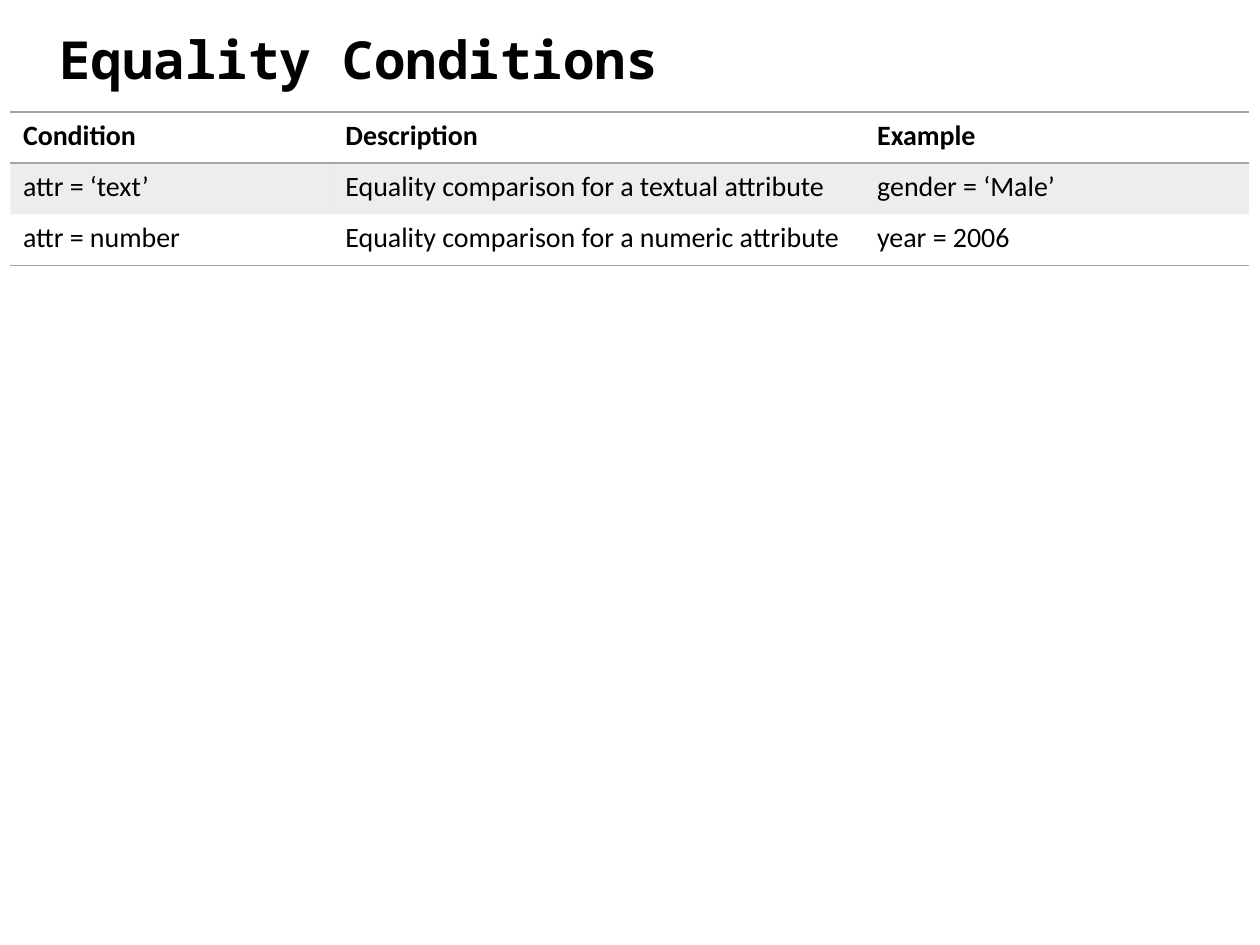
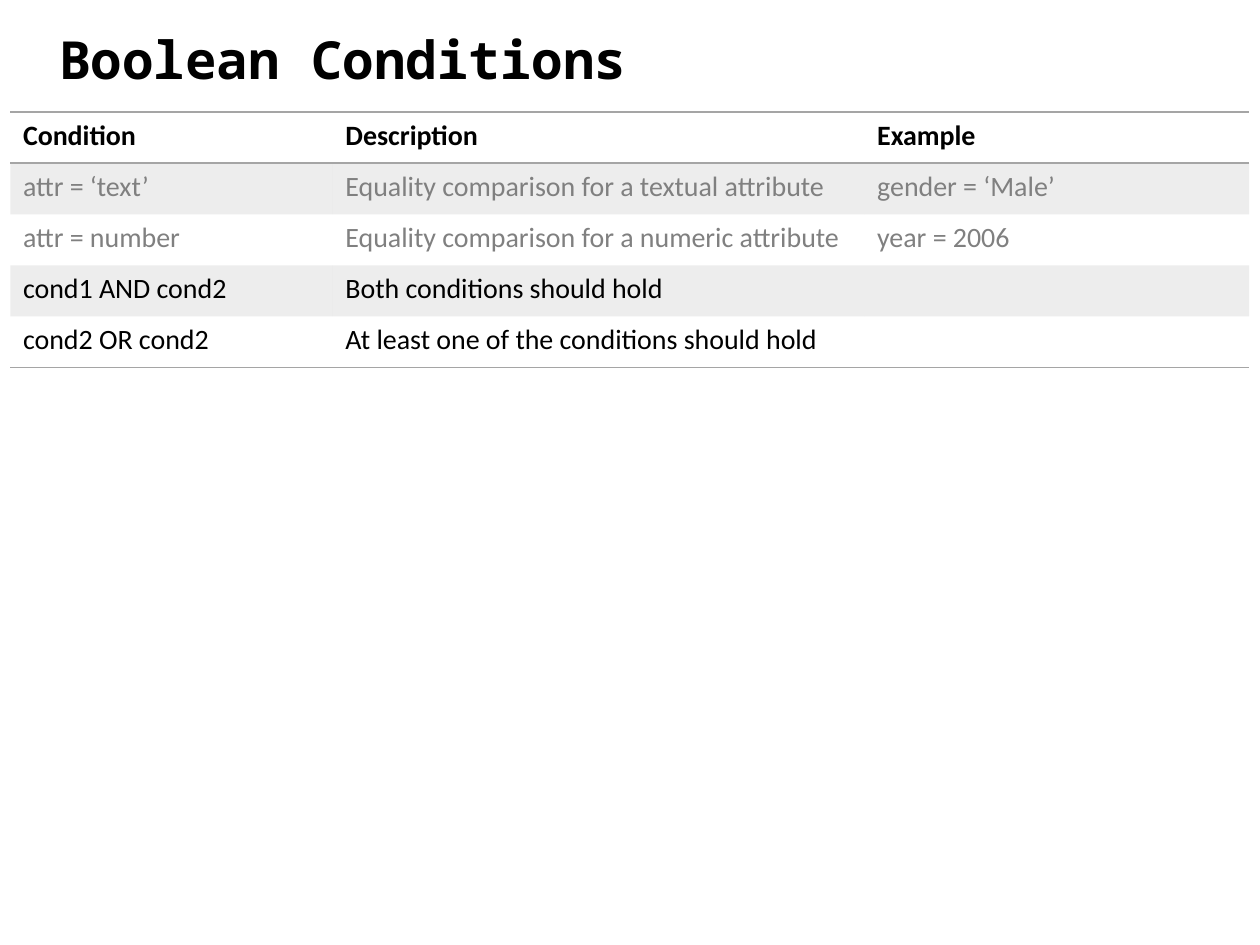
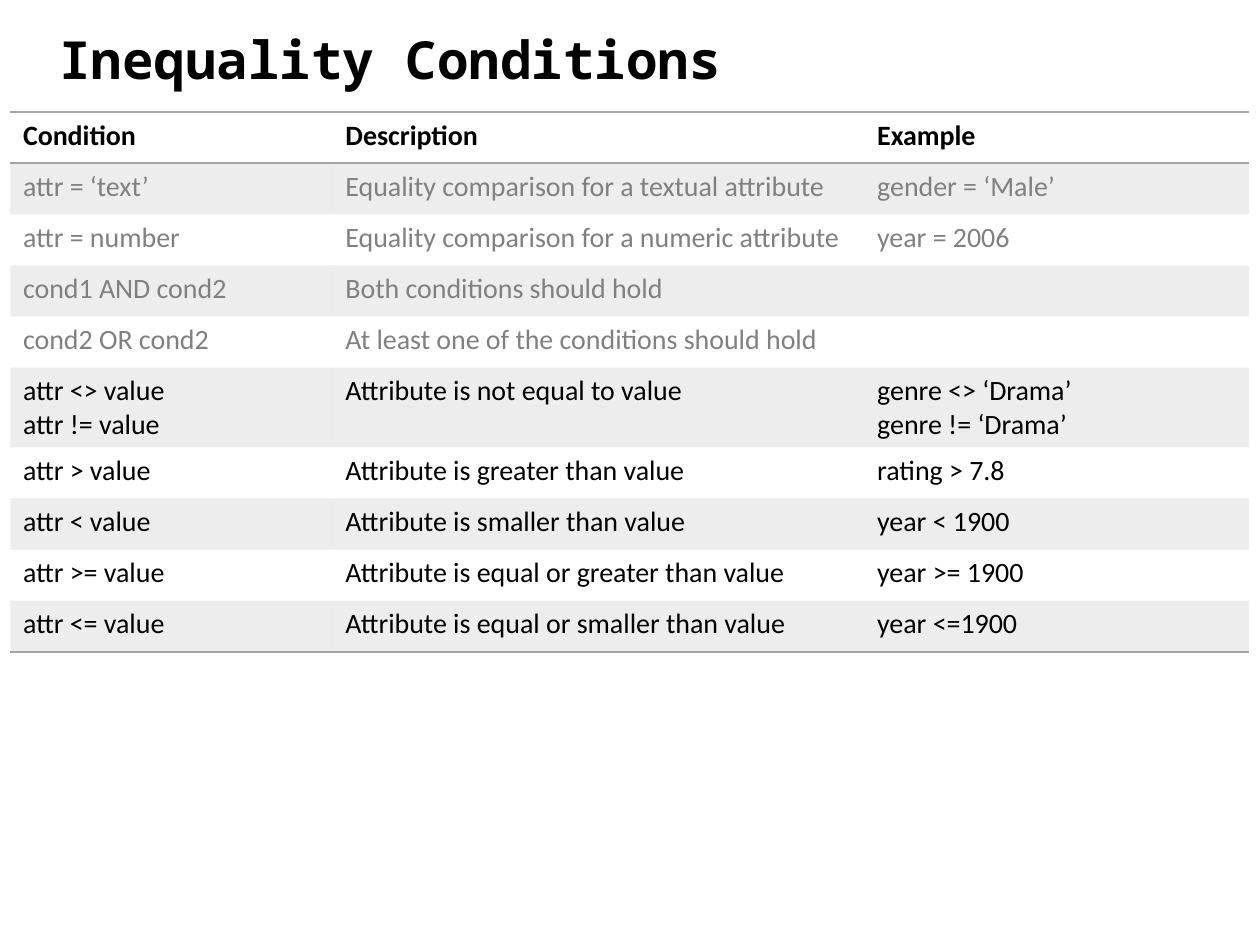
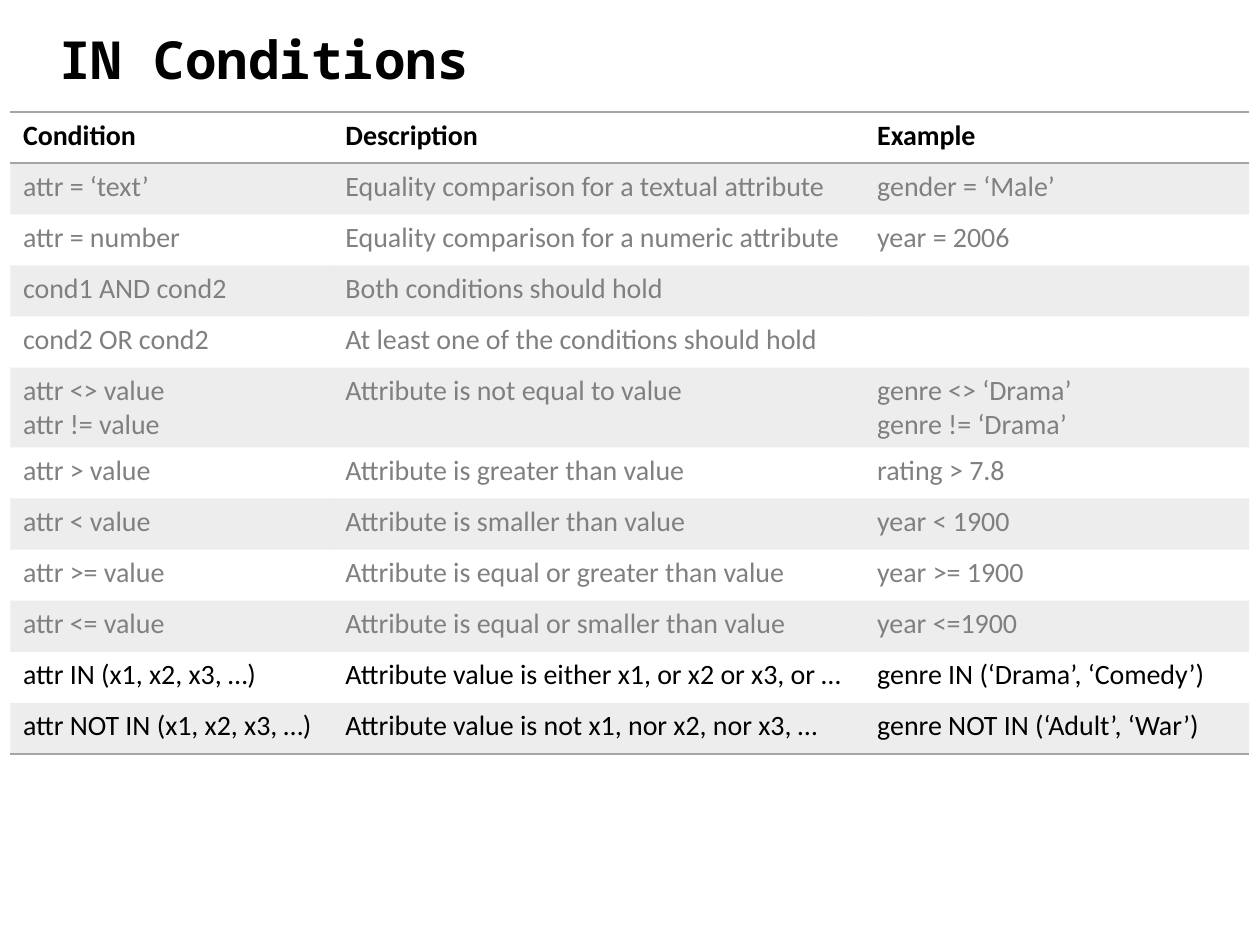
from lxml import etree
from pptx import Presentation
from pptx.dml.color import RGBColor
from pptx.enum.text import MSO_AUTO_SIZE
from pptx.oxml.ns import qn
from pptx.util import Cm, Pt

GROW = MSO_AUTO_SIZE.SHAPE_TO_FIT_TEXT
COLORS = {"text": "000000", "known": "808080", "accent": "A5A5A5"}
TITLE_FONT, BODY_FONT = "Noto Sans Mono", "Calibri"
PLAIN_TABLE_STYLE = "{2D5ABB26-0587-4C30-8999-92F81FD0307C}"
COLUMN_WIDTHS = (6.5, 10.72, 7.75)
ROW_HEIGHT = 1.03
BAND_ALPHA = "20000"

HEADER = ("Condition", "Description", "Example")
TOPICS = [
    ("Equality Conditions", [
        ("attr = ‘text’", "Equality comparison for a textual attribute", "gender = ‘Male’"),
        ("attr = number", "Equality comparison for a numeric attribute", "year = 2006"),
    ]),
    ("Boolean Conditions", [
        ("cond1 AND cond2", "Both conditions should hold", ""),
        ("cond2 OR cond2", "At least one of the conditions should hold", ""),
    ]),
    ("Inequality Conditions", [
        ("attr <> value\vattr != value", "Attribute is not equal to value",
         "genre <> ‘Drama’\vgenre != ‘Drama’"),
        ("attr > value", "Attribute is greater than value", "rating > 7.8"),
        ("attr < value", "Attribute is smaller than value", "year < 1900"),
        ("attr >= value", "Attribute is equal or greater than value", "year >= 1900"),
        ("attr <= value", "Attribute is equal or smaller than value", "year <=1900"),
    ]),
    ("IN Conditions", [
        ("attr IN (x1, x2, x3, …)", "Attribute value is either x1, or x2 or x3, or …",
         "genre IN (‘Drama’, ‘Comedy’)"),
        ("attr NOT IN (x1, x2, x3, …)", "Attribute value is not x1, nor x2, nor x3, …",
         "genre NOT IN (‘Adult’, ‘War’)"),
    ]),
]


def write(text_frame, text, font_name, size, color, bold):
    """Put text in a frame and style its paragraph."""
    text_frame.text = text
    font = text_frame.paragraphs[0].font
    font.name, font.size, font.bold = font_name, Pt(size), bold
    font.color.rgb = RGBColor.from_string(COLORS[color])


def add_title(slide, text):
    """Add the slide title."""
    shape = slide.shapes.add_textbox(Cm(1.07), Cm(0.41), Cm(21.54), Cm(1.55))
    frame = shape.text_frame
    frame.word_wrap = True
    frame.auto_size = GROW
    frame.margin_left = frame.margin_right = Cm(0.13)
    frame.margin_top = frame.margin_bottom = Cm(0.13)
    write(frame, text, TITLE_FONT, 30, "text", True)


def add_solid_fill(parent, color):
    """Append a solid fill to an XML element and return its colour element."""
    fill = etree.SubElement(parent, qn("a:solidFill"))
    return etree.SubElement(fill, qn("a:srgbClr"), val=COLORS[color])


def format_cell(cell, edges, banded):
    """Rule the named edges of a cell, then fill it."""
    properties = cell._tc.get_or_add_tcPr()
    for edge in edges:
        line = etree.SubElement(properties, qn(f"a:{edge}"), w=str(Pt(1)))
        add_solid_fill(line, "accent")
    if banded:
        color = add_solid_fill(properties, "accent")
        etree.SubElement(color, qn("a:alpha"), val=BAND_ALPHA)
    else:
        cell.fill.background()


def add_condition_table(slide, known, new):
    """Add the table with known conditions greyed and new ones in black."""
    rows = [HEADER, *known, *new]
    frame = slide.shapes.add_table(
        len(rows), len(HEADER), Cm(0.21), Cm(2.26),
        Cm(sum(COLUMN_WIDTHS)), Cm(ROW_HEIGHT * len(rows)))
    table = frame.table
    table._tbl.tblPr.find(qn("a:tableStyleId")).text = PLAIN_TABLE_STYLE
    for column, width in zip(table.columns, COLUMN_WIDTHS):
        column.width = Cm(width)
    for index, texts in enumerate(rows):
        table.rows[index].height = Cm(ROW_HEIGHT)
        is_header = index == 0
        color = "known" if 1 <= index <= len(known) else "text"
        edges = ["lnT"] if is_header else []
        if is_header or index == len(rows) - 1:
            edges.append("lnB")
        for cell, text in zip(table.rows[index].cells, texts):
            write(cell.text_frame, text, BODY_FONT, 16, color, is_header)
            format_cell(cell, edges, index % 2 == 1)


def main():
    """Build one slide per topic, each table extending the one before."""
    presentation = Presentation()
    presentation.slide_width, presentation.slide_height = Cm(25.4), Cm(19.05)
    known = []
    for title, conditions in TOPICS:
        slide = presentation.slides.add_slide(presentation.slide_layouts[6])
        add_title(slide, title)
        add_condition_table(slide, known, conditions)
        known += conditions
    presentation.save("out.pptx")


main()
